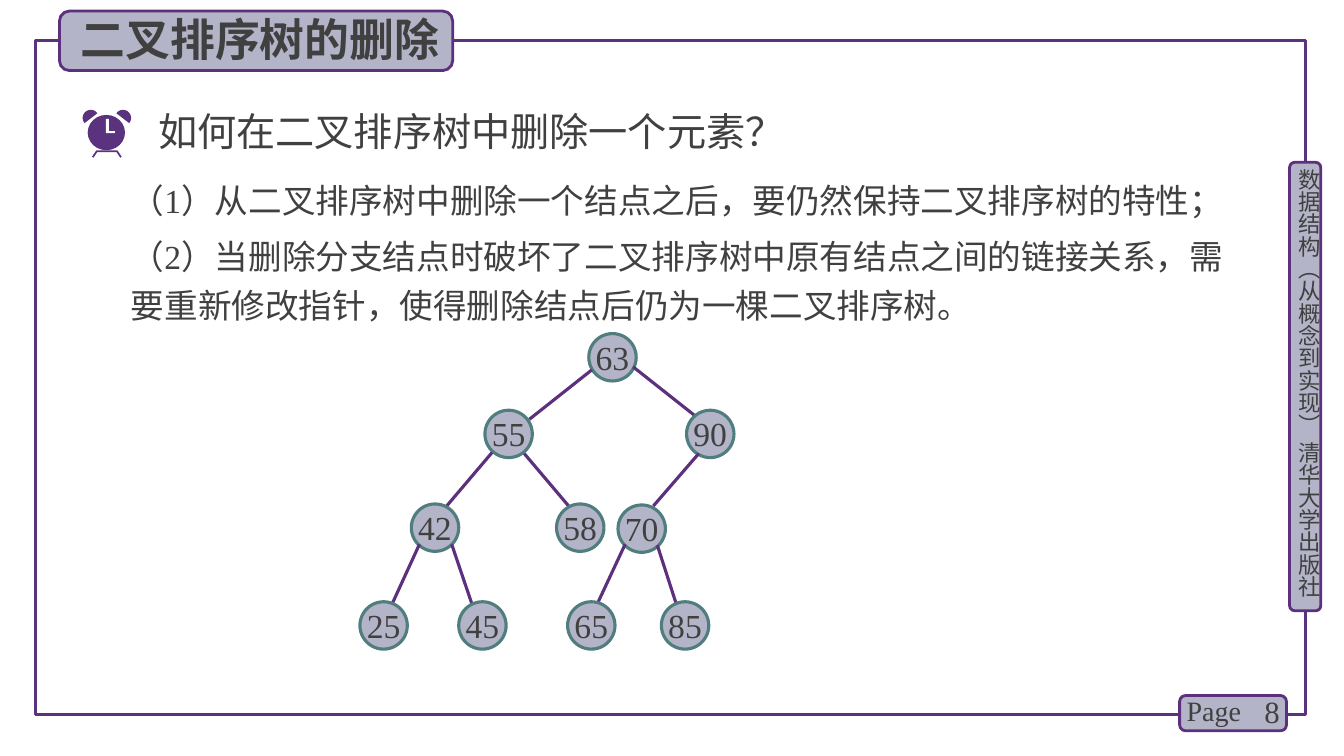
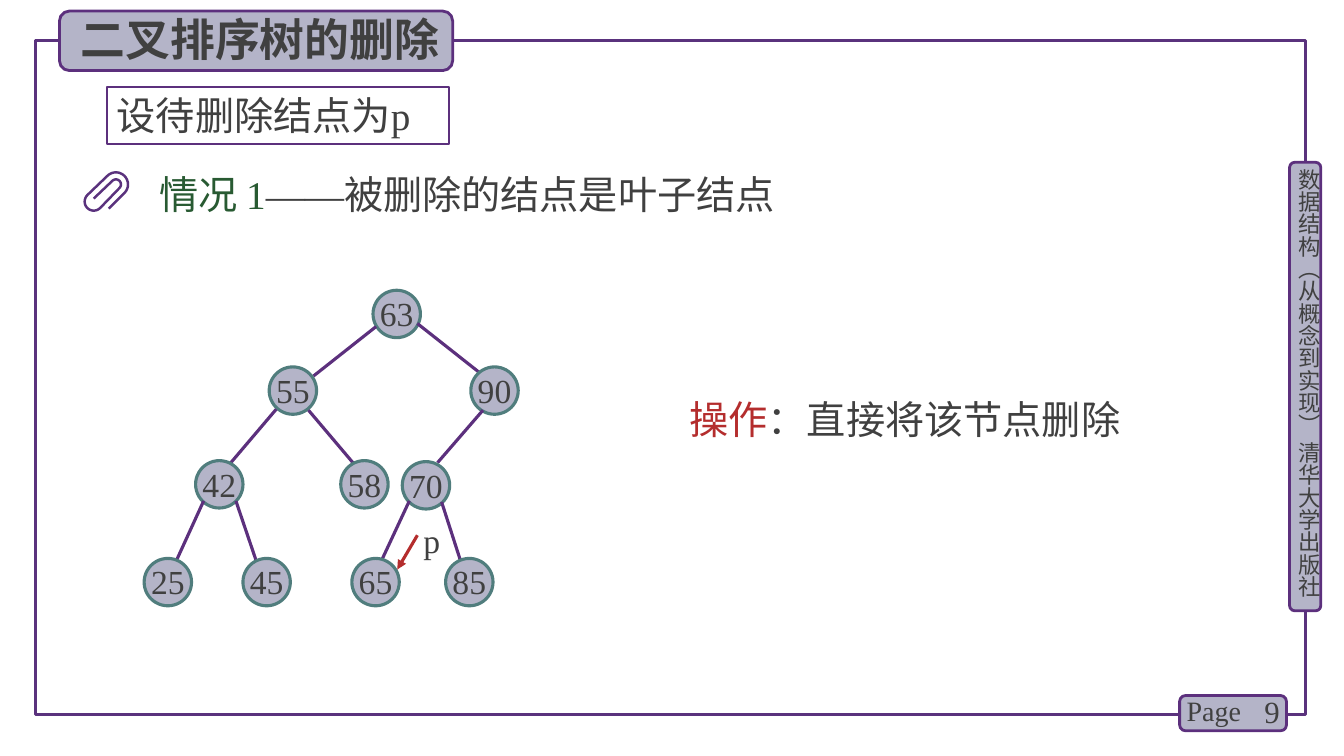
from math import cos, radians, sin

from lxml.etree import SubElement
from pptx import Presentation
from pptx.dml.color import RGBColor
from pptx.enum.shapes import MSO_CONNECTOR, MSO_SHAPE
from pptx.enum.text import MSO_ANCHOR, PP_ALIGN
from pptx.oxml.ns import qn
from pptx.util import Inches, Pt

COLORS = {
    "text": "404040", "fill": "B4B4C8", "border": "5C307D", "icon": "5A327D",
    "node": "507D7D", "green": "285A32", "red": "B42D2D", "white": "FFFFFF",
}
SERIF = "Times New Roman"
SANS = "Noto Sans CJK SC"

TITLE = "二叉排序树的删除"
BOOK = "数据结构（从概念到实现） 清华大学出版社"
QUESTION = "如何在二叉排序树中删除一个元素？"
RULES = [
    ("（1）从二叉排序树中删除一个结点之后，要仍然保持二叉排序树的特性；", (1.2, 1.65, 11.04, 0.55)),
    ("（2）当删除分支结点时破坏了二叉排序树中原有结点之间的链接关系，"
     "需要重新修改指针，使得删除结点后仍为一棵二叉排序树。", (1.2, 2.21, 11.04, 1.04)),
]
ASSUMPTION = "设待删除结点为p"
CASE = [("情况 1", "green"), ("——被删除的结点是叶子结点", "text")]
OPERATION = [("操作", "red"), ("：直接将该节点删除", "text")]

NODE_SIZE = 0.47
TREE = [
    ("63", (0, 0), None),
    ("55", (-1.03, 0.76), ((0.03, 0.36), (-0.59, 0.85))),
    ("42", (-1.76, 1.69), ((-0.96, 1.18), (-1.41, 1.71))),
    ("58", (-0.32, 1.69), ((-0.64, 1.19), (-0.2, 1.71))),
    ("90", (0.97, 0.76), ((0.44, 0.33), (1.06, 0.82))),
    ("70", (0.29, 1.7), ((1.09, 1.19), (0.64, 1.71))),
    ("25", (-2.27, 2.66), ((-1.68, 2.09), (-1.95, 2.68))),
    ("45", (-1.29, 2.66), ((-1.36, 2.09), (-1.16, 2.68))),
    ("65", (-0.21, 2.66), ((0.36, 2.09), (0.08, 2.69))),
    ("85", (0.72, 2.66), ((0.68, 2.1), (0.87, 2.69))),
]


def rgb(name):
    return RGBColor.from_string(COLORS[name])


def paint(shape, fill=None, line=None, width=2):
    if fill:
        shape.fill.solid()
        shape.fill.fore_color.rgb = rgb(fill)
    else:
        shape.fill.background()
    if line:
        shape.line.color.rgb = rgb(line)
        shape.line.width = Pt(width)
    else:
        shape.line.fill.background()


def add_box(slide, kind, box, **style):
    shape = slide.shapes.add_shape(kind, *map(Inches, box))
    shape.shadow.inherit = False
    paint(shape, **style)
    return shape


def write(shape, content, size=24, font=SERIF, bold=False, align=PP_ALIGN.LEFT,
          anchor=MSO_ANCHOR.TOP, spacing=None, inset=True, wrap=True, vertical=False):
    frame = shape.text_frame
    frame.word_wrap = wrap
    frame.vertical_anchor = anchor
    if not inset:
        frame.margin_left = frame.margin_top = frame.margin_right = frame.margin_bottom = 0
    if vertical:
        frame._txBody.find(qn("a:bodyPr")).set("vert", "eaVert")
    paragraph = frame.paragraphs[0]
    paragraph.alignment = align
    if spacing:
        paragraph.line_spacing = Pt(spacing)
    runs = [(content, "text")] if isinstance(content, str) else content
    for words, color in runs:
        run = paragraph.add_run()
        run.text = words
        run.font.size = Pt(size)
        run.font.bold = bold
        run.font.name = font
        run.font.color.rgb = rgb(color)
        SubElement(run.font._element, qn("a:ea")).set("typeface", SANS)


def add_text(slide, box, content, **style):
    write(slide.shapes.add_textbox(*map(Inches, box)), content, **style)


def add_line(slide, start, end, color="border", arrow=False):
    line = slide.shapes.add_connector(MSO_CONNECTOR.STRAIGHT, *map(Inches, (*start, *end)))
    line.line.color.rgb = rgb(color)
    line.line.width = Pt(2.25)
    properties = line._element.spPr
    if arrow:
        SubElement(properties.find(qn("a:ln")), qn("a:tailEnd")).set("type", "triangle")
    SubElement(properties, qn("a:effectLst"))


def add_outline(slide, points, close=True, **style):
    corners = [(Inches(x), Inches(y)) for x, y in points]
    builder = slide.shapes.build_freeform(*corners[0], scale=1.0)
    builder.add_line_segments(corners[1:], close=close)
    shape = builder.convert_to_shape()
    shape.shadow.inherit = False
    paint(shape, **style)


def arc(center, radius, start, end, steps=16):
    angles = [radians(start + (end - start) * step / steps) for step in range(steps + 1)]
    return [(center[0] + radius * cos(angle), center[1] + radius * sin(angle)) for angle in angles]


def add_clock(slide):
    middle = 1.06
    ear = arc((0.9, 1.17), 0.08, 140, 325)
    add_outline(slide, ear, fill="icon")
    add_outline(slide, [(2 * middle - x, y) for x, y in ear], fill="icon")
    legs = [(0.92, 1.56), (0.96, 1.5), (1.16, 1.5), (1.2, 1.56)]
    add_outline(slide, legs, close=False, line="icon", width=1.25)
    add_box(slide, MSO_SHAPE.OVAL, (0.87, 1.14, 0.37, 0.35), fill="icon")
    hands = [(1.05, 1.18), (1.08, 1.18), (1.08, 1.3), (1.14, 1.3), (1.14, 1.32), (1.05, 1.32)]
    add_outline(slide, hands, fill="white")


def add_paperclip(slide):
    wire = [(1.08, 2.07)]
    wire += arc((1.15, 1.83), 0.12, 45, -135)
    wire += arc((0.93, 2), 0.09, -135, -315)
    wire += arc((1.15, 1.83), 0.05, 45, -135)
    wire += [(0.93, 1.97)]
    add_outline(slide, wire, close=False, line="icon", width=1.75)


def add_tree(slide, left, top):
    for label, (x, y), edge in TREE:
        if edge:
            add_line(slide, *[(left + dx, top + dy) for dx, dy in edge])
        node = add_box(slide, MSO_SHAPE.OVAL, (left + x, top + y, NODE_SIZE, NODE_SIZE),
                       fill="fill", line="node", width=2.25)
        write(node, label, align=PP_ALIGN.CENTER, spacing=26, inset=False, wrap=False)


def add_badge(slide, box):
    return add_box(slide, MSO_SHAPE.ROUNDED_RECTANGLE, box, fill="fill", line="border")


def add_page(presentation, number):
    slide = presentation.slides.add_slide(presentation.slide_layouts[5])
    add_box(slide, MSO_SHAPE.RECTANGLE, (0.35, 0.4, 12.6, 6.69), line="icon", width=2.25)
    add_badge(slide, (12.79, 1.61, 0.31, 4.45))
    add_text(slide, (12.85, 1.67, 0.27, 4.49), BOOK, size=16, font=SANS, inset=False, vertical=True)
    add_badge(slide, (11.7, 6.9, 1.06, 0.35))
    add_text(slide, (12.2, 6.86, 0.59, 0.4), str(number), size=22,
             align=PP_ALIGN.RIGHT, anchor=MSO_ANCHOR.MIDDLE)
    add_text(slide, (11.67, 6.83, 0.78, 0.44), "Page", size=20)
    badge = add_badge(slide, (0.59, 0.11, 3.9, 0.59))
    title = slide.shapes.title
    title.left, title.top, title.width, title.height = map(Inches, (0.7, 0.07, 3.79, 0.64))
    write(title, TITLE, size=32, font=SANS, bold=True)
    badge._element.addnext(title._element)
    return slide


def build_question(presentation):
    slide = add_page(presentation, 8)
    add_clock(slide)
    add_text(slide, (1.47, 1.02, 9.3, 0.57), QUESTION, size=28)
    for rule, box in RULES:
        add_text(slide, box, rule, spacing=35)
    add_tree(slide, 5.84, 3.31)


def build_leaf_case(presentation):
    slide = add_page(presentation, 9)
    assumption = add_box(slide, MSO_SHAPE.RECTANGLE, (1.06, 0.86, 3.39, 0.57),
                         line="border", width=1.5)
    write(assumption, ASSUMPTION, size=28)
    add_paperclip(slide)
    add_text(slide, (1.48, 1.64, 7.54, 0.57), CASE, size=28)
    add_tree(slide, 3.7, 2.88)
    add_line(slide, (4.14, 5.31), (3.94, 5.65), color="red", arrow=True)
    add_text(slide, (4.1, 5.11, 0.3, 0.51), "p")
    add_text(slide, (6.74, 3.87, 5.19, 0.57), OPERATION, size=28)


def main():
    presentation = Presentation()
    presentation.slide_width = Inches(13.33)
    presentation.slide_height = Inches(7.5)
    build_question(presentation)
    build_leaf_case(presentation)
    presentation.save("out.pptx")


if __name__ == "__main__":
    main()
